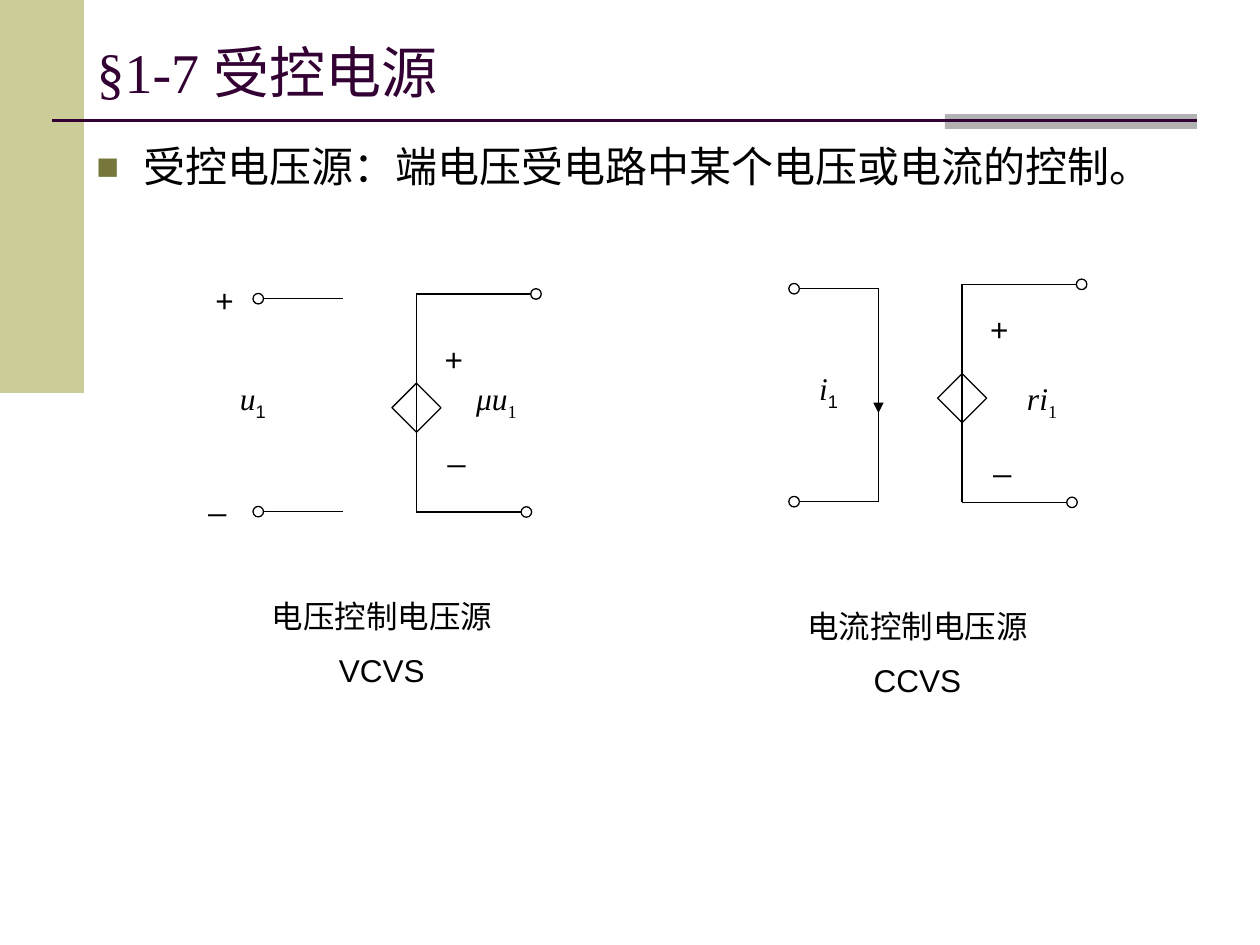
"""Build the slide on controlled voltage sources with its two circuit diagrams."""
from dataclasses import dataclass

import lxml.etree
import pptx
import pptx.dml.color
import pptx.enum.shapes
import pptx.enum.text
import pptx.oxml.ns
import pptx.util

Pt = pptx.util.Pt
qn = pptx.oxml.ns.qn
PRESET = pptx.enum.shapes.MSO_SHAPE
ALIGN = pptx.enum.text.PP_ALIGN
ANCHOR = pptx.enum.text.MSO_ANCHOR


@dataclass(frozen=True)
class Theme:
    ink: str = "000000"
    accent: str = "330033"
    band: str = "CCCC99"
    tab: str = "B2B2B2"
    bullet: str = "77773B"
    sans: str = "Arial"
    serif: str = "Times New Roman"
    title_size: float = 32
    body_size: float = 24
    label_size: float = 18
    wire_width: float = 0.75
    rule_width: float = 1.5


def rgb(value):
    return pptx.dml.color.RGBColor.from_string(value)


def write(paragraph, text, *, font, size, color, italic=False, subscript=False):
    run = paragraph.add_run()
    run.text = text
    run.font.name = font
    run.font.size = Pt(size)
    run.font.italic = italic
    run.font.color.rgb = rgb(color)
    if subscript:
        run._r.get_or_add_rPr().set("baseline", "-25000")


class CircuitSlide:
    terminal_size = 6
    diamond_size = 28
    label_height = 29

    def __init__(self, presentation, theme):
        self.theme = theme
        self.slide = presentation.slides.add_slide(presentation.slide_layouts[5])
        self.shapes = self.slide.shapes

    def title(self, text, left, top, width, height):
        heading = self.shapes.title
        heading.left, heading.top = Pt(left), Pt(top)
        heading.width, heading.height = Pt(width), Pt(height)
        frame = heading.text_frame
        frame.auto_size = pptx.enum.text.MSO_AUTO_SIZE.NONE
        frame.vertical_anchor = ANCHOR.MIDDLE
        frame.paragraphs[0].alignment = ALIGN.LEFT
        write(frame.paragraphs[0], text, font=self.theme.serif,
              size=self.theme.title_size, color=self.theme.accent)

    def shape(self, preset, left, top, width, height, fill=None):
        figure = self.shapes.add_shape(preset, Pt(left), Pt(top), Pt(width), Pt(height))
        figure.shadow.inherit = False
        if fill:
            figure.fill.solid()
            figure.fill.fore_color.rgb = rgb(fill)
            figure.line.fill.background()
        else:
            figure.fill.background()
            figure.line.color.rgb = rgb(self.theme.ink)
            figure.line.width = Pt(self.theme.wire_width)

    def line(self, x1, y1, x2, y2, color=None, width=None, arrow=False):
        wire = self.shapes.add_connector(
            pptx.enum.shapes.MSO_CONNECTOR.STRAIGHT, Pt(x1), Pt(y1), Pt(x2), Pt(y2))
        wire.line.color.rgb = rgb(color or self.theme.ink)
        wire.line.width = Pt(width or self.theme.wire_width)
        properties = wire._element.spPr
        if arrow:
            lxml.etree.SubElement(properties.find(qn("a:ln")), qn("a:tailEnd"), type="triangle")
        lxml.etree.SubElement(properties, qn("a:effectLst"))

    def text_frame(self, left, top, width, height):
        box = self.shapes.add_textbox(Pt(left), Pt(top), Pt(width), Pt(height))
        box.text_frame.word_wrap = True
        return box.text_frame

    def bullet(self, text, left, top, width, height):
        paragraph = self.text_frame(left, top, width, height).paragraphs[0]
        properties = paragraph._p.get_or_add_pPr()
        indent = Pt(27)
        properties.set("marL", str(indent))
        properties.set("indent", str(-indent))
        color = lxml.etree.SubElement(properties, qn("a:buClr"))
        lxml.etree.SubElement(color, qn("a:srgbClr"), val=self.theme.bullet)
        lxml.etree.SubElement(properties, qn("a:buSzPct"), val="90000")
        lxml.etree.SubElement(properties, qn("a:buFont"), typeface=self.theme.sans)
        lxml.etree.SubElement(properties, qn("a:buChar"), char="■")
        write(paragraph, text, font=self.theme.sans,
              size=self.theme.body_size, color=self.theme.ink)

    def caption(self, left, top, *lines):
        frame = self.text_frame(left, top, 193, 61)
        for index, text in enumerate(lines):
            paragraph = frame.add_paragraph() if index else frame.paragraphs[0]
            paragraph.alignment = ALIGN.CENTER
            if index:
                paragraph.space_before = Pt(self.theme.label_size / 2)
            write(paragraph, text, font=self.theme.sans,
                  size=self.theme.label_size, color=self.theme.ink)

    def sign(self, text, left, top):
        width = {"+": 22, "_": 28}[text]
        paragraph = self.text_frame(left, top, width, self.label_height).paragraphs[0]
        paragraph.alignment = ALIGN.CENTER
        write(paragraph, text, font=self.theme.sans,
              size=self.theme.label_size, color=self.theme.ink)

    def quantity(self, symbol, left, top, width, index_font):
        paragraph = self.text_frame(left, top, width, self.label_height).paragraphs[0]
        paragraph.alignment = ALIGN.CENTER
        style = {"size": self.theme.label_size, "color": self.theme.ink}
        write(paragraph, symbol, font=self.theme.serif, italic=True, **style)
        write(paragraph, "1", font=index_font, subscript=True, **style)

    def terminal(self, left, middle):
        size = self.terminal_size
        self.shape(PRESET.OVAL, left, middle - size / 2, size, size)

    def input_port(self, left, top):
        wire_start = left + self.terminal_size
        for middle in (top, top + 121.7):
            self.terminal(left, middle)
            self.line(wire_start, middle, wire_start + 45.4, middle)

    def controlled_source(self, x, top, symbol, plus_drop, minus_drop, symbol_drop):
        bottom = top + 124.6
        size = self.diamond_size
        self.shape(PRESET.DIAMOND, x - size / 2, top + 65 - size / 2, size, size)
        self.line(x, bottom, x, top)
        for middle, reach in ((top, 65.3), (bottom, 59.8)):
            self.line(x, middle, x + reach, middle)
            self.terminal(x + reach, middle)
        self.sign("+", x + 9, top + plus_drop)
        self.sign("_", x + 9, top + minus_drop)
        self.quantity(symbol, x + 14.4, top + symbol_drop, 62.6, self.theme.serif)


def main():
    theme = Theme()
    presentation = pptx.Presentation()
    presentation.slide_width, presentation.slide_height = Pt(720), Pt(540)
    page = CircuitSlide(presentation, theme)

    page.shape(PRESET.RECTANGLE, 0, 0, 48, 224.6, theme.band)
    page.shape(PRESET.RECTANGLE, 540, 65.3, 144, 8.4, theme.tab)
    page.line(30, 69, 684, 69, theme.accent, theme.rule_width)
    page.title("§1-7 受控电源", 48, 21.6, 636, 38)
    page.bullet("受控电压源：端电压受电路中某个电压或电流的控制。", 48, 77, 636, 425.5)

    page.input_port(144.6, 170.7)
    page.sign("+", 116, 157)
    page.sign("_", 110.2, 270)
    page.quantity("u", 116, 213, 57, theme.sans)
    page.controlled_source(238, 168, "μu", 22.8, 74, 45.2)
    page.caption(121.7, 337.7, "电压控制电压源", "VCVS")

    page.input_port(450.8, 165)
    page.line(502, 165, 502, 286.7)
    page.line(502, 185, 502, 236, arrow=True)
    page.quantity("i", 456.5, 207.5, 34, theme.sans)
    page.controlled_source(549.8, 162.5, "ri", 11, 85.2, 50.7)
    page.caption(427.7, 343.4, "电流控制电压源", "CCVS")

    presentation.save("out.pptx")


if __name__ == "__main__":
    main()
